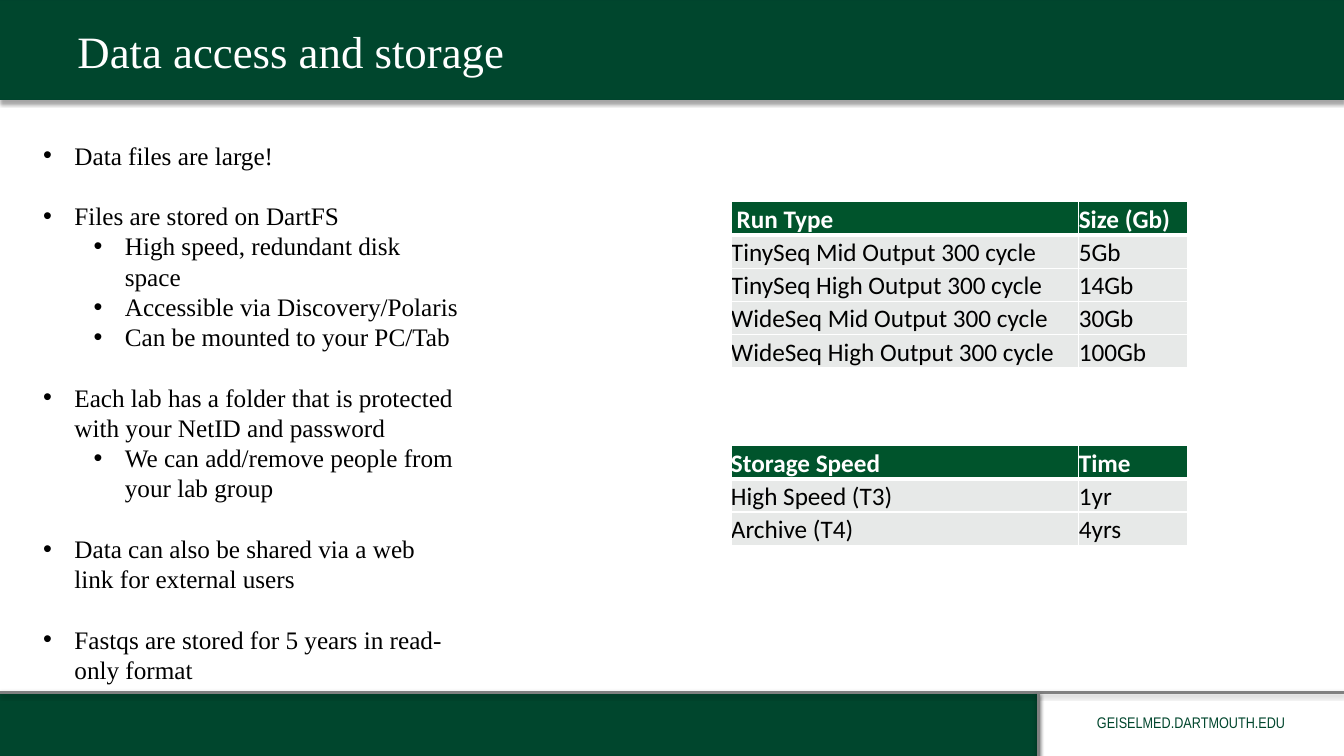
from lxml import etree
from pptx import Presentation
from pptx.dml.color import RGBColor
from pptx.enum import shapes, text
from pptx.oxml.ns import qn
from pptx.util import Inches, Pt

# Content
TITLE = "Data access and storage"
SITE = "GEISELMED.DARTMOUTH.EDU"
# Groups of (level, line); a gap separates the groups
BULLETS = [
    [(0, "Data files are large!")],
    [(0, "Files are stored on DartFS"),
     (1, "High speed, redundant disk space"),
     (1, "Accessible via Discovery/Polaris"),
     (1, "Can be mounted to your PC/Tab")],
    [(0, "Each lab has a folder that is protected with your NetID and password"),
     (1, "We can add/remove people from your lab group")],
    [(0, "Data can also be shared via a web link for external users")],
    [(0, "Fastqs are stored for 5 years in read-only format")],
]
RUN_SIZES = [
    (" Run Type", "Size (Gb)"),
    ("TinySeq Mid Output 300 cycle", "5Gb"),
    ("TinySeq High Output 300 cycle", "14Gb"),
    ("WideSeq Mid Output 300 cycle", "30Gb"),
    ("WideSeq High Output 300 cycle", "100Gb"),
]
STORAGE_TIMES = [
    ("Storage Speed", "Time"),
    ("High Speed (T3)", "1yr"),
    ("Archive (T4)", "4yrs"),
]

THEME = {
    "band": "00462D", "band_edge": "00442D", "rule": "808080",
    "head": "00542C", "row": "E7E9E8", "white": "FFFFFF", "black": "000000",
    "serif": "Times New Roman", "sans": "Calibri", "narrow": "Arial Narrow",
    "title": 32, "body": 18, "site": 11, "gap": 21.6,
}

# Layout in inches
WIDTH, HEIGHT = 13.33, 7.5
FOOT_TOP, FOOT_SPLIT = 6.87, 10.3
TABLE_LEFT, COLUMNS, ROW_HEIGHT = 7.25, (3.45, 1.08), 0.33
HANG, LEVEL_STEP = 0.31, 0.5

prs = Presentation()
prs.slide_width, prs.slide_height = Inches(WIDTH), Inches(HEIGHT)
slide = prs.slides.add_slide(prs.slide_layouts[6])


def color(name):
    return RGBColor.from_string(THEME[name])


def add_node(parent, tag, **attrs):
    return etree.SubElement(parent, qn(tag), {k: str(v) for k, v in attrs.items()})


def add_shadow(effects, alpha, distance):
    shadow = add_node(effects, "a:outerShdw", blurRad=Pt(3.1), dist=Pt(distance),
                      dir=90 * 60000, rotWithShape=0)
    black = add_node(shadow, "a:srgbClr", val=THEME["black"])
    add_node(black, "a:alpha", val=alpha * 1000)


def add_band(left, top, width, height):
    sp = slide.shapes.add_shape(shapes.MSO_SHAPE.RECTANGLE, Inches(left), Inches(top),
                                Inches(width), Inches(height))
    sp.fill.solid()
    sp.fill.fore_color.rgb = color("band")
    sp.line.color.rgb = color("band_edge")
    sp.line.width = Pt(0.75)
    sp.shadow.inherit = False
    add_shadow(sp._element.spPr.find(qn("a:effectLst")), 35, 1.8)


def add_rule(x1, y1, x2, y2):
    line = slide.shapes.add_connector(shapes.MSO_CONNECTOR.STRAIGHT, Inches(x1), Inches(y1),
                                      Inches(x2), Inches(y2))
    line.line.color.rgb = color("rule")
    line.line.width = Pt(2)
    add_shadow(add_node(line._element.spPr, "a:effectLst"), 38, 1.6)


def add_text_box(left, top, width, height):
    tf = slide.shapes.add_textbox(Inches(left), Inches(top), Inches(width),
                                  Inches(height)).text_frame
    tf.word_wrap = True
    return tf


def style(p, font, size, ink, bold=False):
    for r in p.runs:
        r.font.name, r.font.size, r.font.bold = THEME[font], Pt(THEME[size]), bold
        r.font.color.rgb = color(ink)


def set_borders(cell, bottom):
    tc_pr = cell._tc.get_or_add_tcPr()
    for i, (side, width) in enumerate((("L", 1), ("R", 1), ("T", 1), ("B", bottom))):
        border = etree.Element(qn("a:ln" + side), w=str(Pt(width)))
        add_node(add_node(border, "a:solidFill"), "a:srgbClr", val=THEME["white"])
        tc_pr.insert(i, border)


def add_data_table(top, rows):
    table = slide.shapes.add_table(len(rows), len(COLUMNS), Inches(TABLE_LEFT), Inches(top),
                                   Inches(sum(COLUMNS)),
                                   Inches(ROW_HEIGHT * len(rows))).table
    for column, width in zip(table.columns, COLUMNS):
        column.width = Inches(width)
    for i, row in enumerate(rows):
        is_head = i == 0
        table.rows[i].height = Inches(ROW_HEIGHT)
        for j, value in enumerate(row):
            cell = table.cell(i, j)
            cell.text_frame.text = value
            cell.margin_left = cell.margin_right = cell.margin_top = cell.margin_bottom = 0
            cell.vertical_anchor = text.MSO_ANCHOR.BOTTOM
            cell.fill.solid()
            cell.fill.fore_color.rgb = color("head" if is_head else "row")
            set_borders(cell, 3 if is_head else 1)
            style(cell.text_frame.paragraphs[0], "sans", "body",
                  "white" if is_head else "black", is_head)


# Header and footer
add_band(0, 0, WIDTH, 0.99)
add_band(0, FOOT_TOP, FOOT_SPLIT, HEIGHT - FOOT_TOP)
add_rule(0, FOOT_TOP, WIDTH, FOOT_TOP)
tf = add_text_box(FOOT_SPLIT, 7.03, WIDTH - FOOT_SPLIT, 0.29)
tf.text = SITE
tf.paragraphs[0].alignment = text.PP_ALIGN.CENTER
style(tf.paragraphs[0], "narrow", "site", "band")
add_rule(FOOT_SPLIT, FOOT_TOP, FOOT_SPLIT, HEIGHT)

# Title
tf = add_text_box(0.67, 0, 12, 1.01)
tf.vertical_anchor = text.MSO_ANCHOR.MIDDLE
tf.text = TITLE
style(tf.paragraphs[0], "serif", "title", "white")

# Bulleted list
tf = add_text_box(0.33, 1.34, 4.32, 5.55)
for g, group in enumerate(BULLETS):
    for i, (level, line) in enumerate(group):
        p = tf.paragraphs[0] if g == i == 0 else tf.add_paragraph()
        p.text = line
        p.level = level
        if g and i == 0:
            p.space_before = Pt(THEME["gap"])
        p_pr = p._p.get_or_add_pPr()
        p_pr.set("marL", str(Inches(HANG + LEVEL_STEP * level)))
        p_pr.set("indent", str(-Inches(HANG)))
        add_node(p_pr, "a:buFont", typeface="Arial")
        add_node(p_pr, "a:buChar", char="•")
        style(p, "serif", "body", "black")

# Tables
add_data_table(2, RUN_SIZES)
add_data_table(4.42, STORAGE_TIMES)

prs.save("out.pptx")
